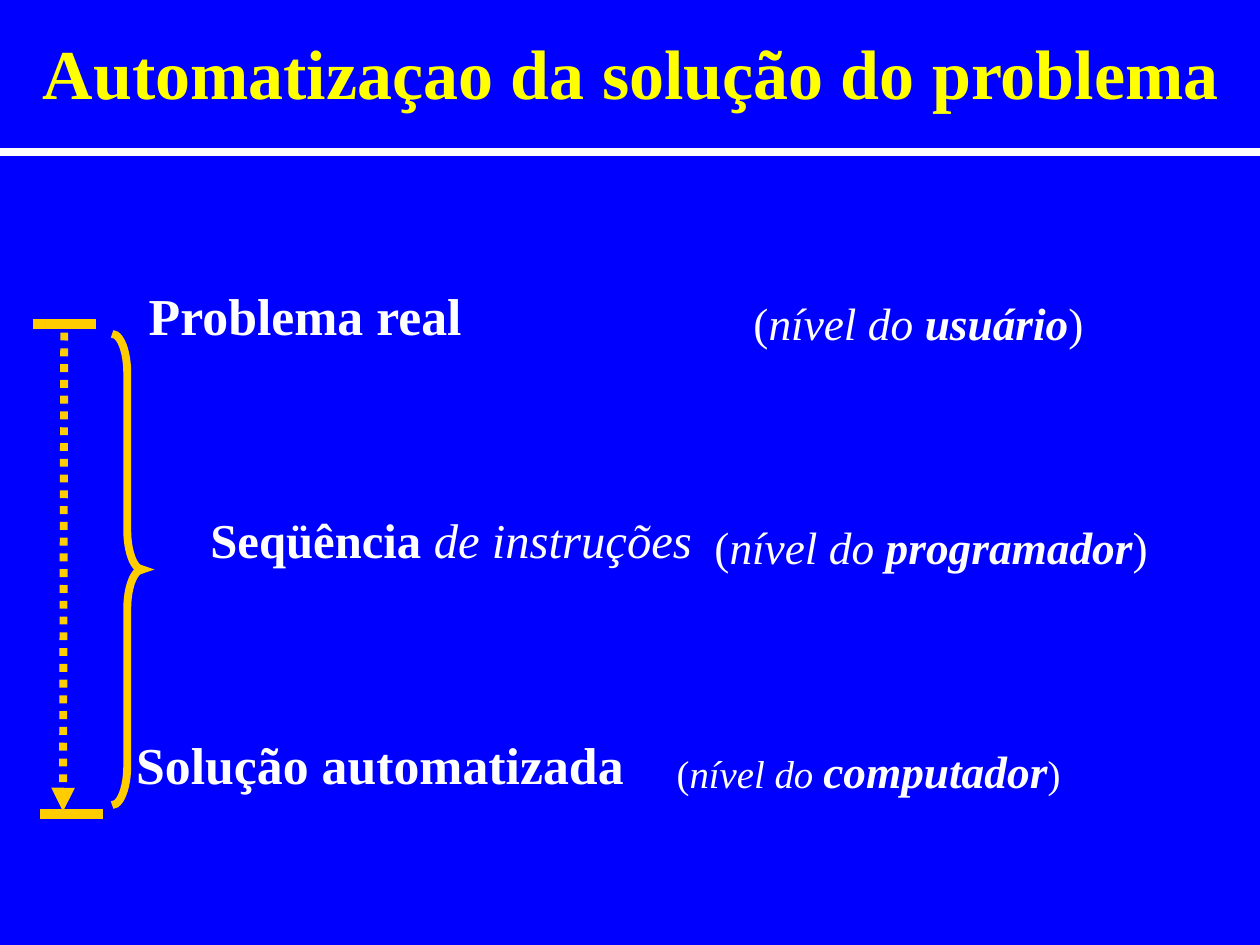
from pptx import Presentation
from pptx.dml.color import RGBColor
from pptx.enum import dml, shapes, text
from pptx.oxml.ns import qn
from pptx.util import Inches, Pt
from lxml import etree

BLUE = RGBColor(0x00, 0x00, 0xFF)
YELLOW = RGBColor(0xFF, 0xFF, 0x00)
WHITE = RGBColor(0xFF, 0xFF, 0xFF)
GOLD = RGBColor(0xFF, 0xCC, 0x00)
FONT = "Times New Roman"

presentation = Presentation()
presentation.slide_width = Inches(10)
presentation.slide_height = Inches(7.5)
slide = presentation.slides.add_slide(presentation.slide_layouts[1])
slide.background.fill.solid()
slide.background.fill.fore_color.rgb = BLUE


def add_run(paragraph, words, size, color, bold=False, italic=False):
    run = paragraph.add_run()
    run.text = words
    run.font.name = FONT
    run.font.size = Pt(size)
    run.font.color.rgb = color
    run.font.bold = bold
    run.font.italic = italic


def add_line(x1, y1, x2, y2, color, width):
    line = slide.shapes.add_connector(
        shapes.MSO_CONNECTOR.STRAIGHT, Inches(x1), Inches(y1), Inches(x2), Inches(y2))
    line.line.color.rgb = color
    line.line.width = Pt(width)
    etree.SubElement(line._element.spPr, qn("a:effectLst"))
    return line


title = slide.shapes.title
title.left, title.top = Inches(0.17), Inches(0.16)
title.width, title.height = Inches(9.67), Inches(0.81)
title.text_frame.auto_size = text.MSO_AUTO_SIZE.NONE
title.text_frame.vertical_anchor = text.MSO_ANCHOR.MIDDLE
title_paragraph = title.text_frame.paragraphs[0]
title_paragraph.alignment = text.PP_ALIGN.CENTER
add_run(title_paragraph, "Automatizaçao da solução do problema", 40, YELLOW, bold=True)

body = slide.placeholders[1]
body.left, body.top = Inches(0.19), Inches(1.61)
body.width, body.height = Inches(9.57), Inches(5.07)
frame = body.text_frame
frame.auto_size = text.MSO_AUTO_SIZE.NONE
frame.vertical_anchor = text.MSO_ANCHOR.TOP
frame.margin_left = frame.margin_right = 0
frame.margin_top = Inches(0.64)

levels = [
    (0.99, 5.98, "Problema real", 29.6, "", "usuário", 25.9),
    (1.48, 5.67, "Seqüência", 27.8, " de instruções", "programador", 25.9),
    (0.89, 5.37, "Solução automatizada", 29.6, "", "computador", 22.2),
]
for index, (indent, level_left, stage, stage_size, detail, role, level_size) in enumerate(levels):
    paragraph = frame.paragraphs[0] if index == 0 else frame.add_paragraph()
    properties = paragraph._p.get_or_add_pPr()
    properties.set("marL", str(Inches(indent)))
    properties.set("indent", "0")
    etree.SubElement(properties, qn("a:buNone"))
    paragraph.space_before = Pt(94 if index else 0)
    add_run(paragraph, stage, stage_size, WHITE, bold=True)
    if detail:
        add_run(paragraph, detail, stage_size, WHITE, italic=True)

    level_box = slide.shapes.add_textbox(
        Inches(level_left), Inches(2.34 + 1.78 * index), Inches(3.8), Inches(0.42))
    level_frame = level_box.text_frame
    level_frame.word_wrap = True
    level_frame.margin_left = level_frame.margin_right = 0
    level_frame.margin_top = level_frame.margin_bottom = 0
    level = level_frame.paragraphs[0]
    add_run(level, "(", level_size, WHITE)
    add_run(level, "nível do ", level_size, WHITE, italic=True)
    add_run(level, role, 25.9, WHITE, bold=True, italic=True)
    add_run(level, ")", level_size, WHITE)

add_line(0, 1.21, 10, 1.21, WHITE, 4.5)

brace = slide.shapes.add_shape(
    shapes.MSO_SHAPE.RIGHT_BRACE, Inches(0.89), Inches(2.65), Inches(0.24), Inches(3.74))
brace.adjustments[0] = 1.3
brace.adjustments[1] = 0.5
brace.shadow.inherit = False
brace.fill.background()
brace.line.color.rgb = GOLD
brace.line.width = Pt(4.5)
etree.SubElement(brace.line._get_or_add_ln(), qn("a:miter"), lim="800000")

add_line(0.26, 2.57, 0.76, 2.57, GOLD, 6)
add_line(0.32, 6.46, 0.82, 6.46, GOLD, 6)
arrow = add_line(0.51, 2.64, 0.5, 6.44, GOLD, 4.5)
arrow.line.dash_style = dml.MSO_LINE.ROUND_DOT
etree.SubElement(arrow.line._get_or_add_ln(), qn("a:tailEnd"), type="triangle")

presentation.save("out.pptx")
